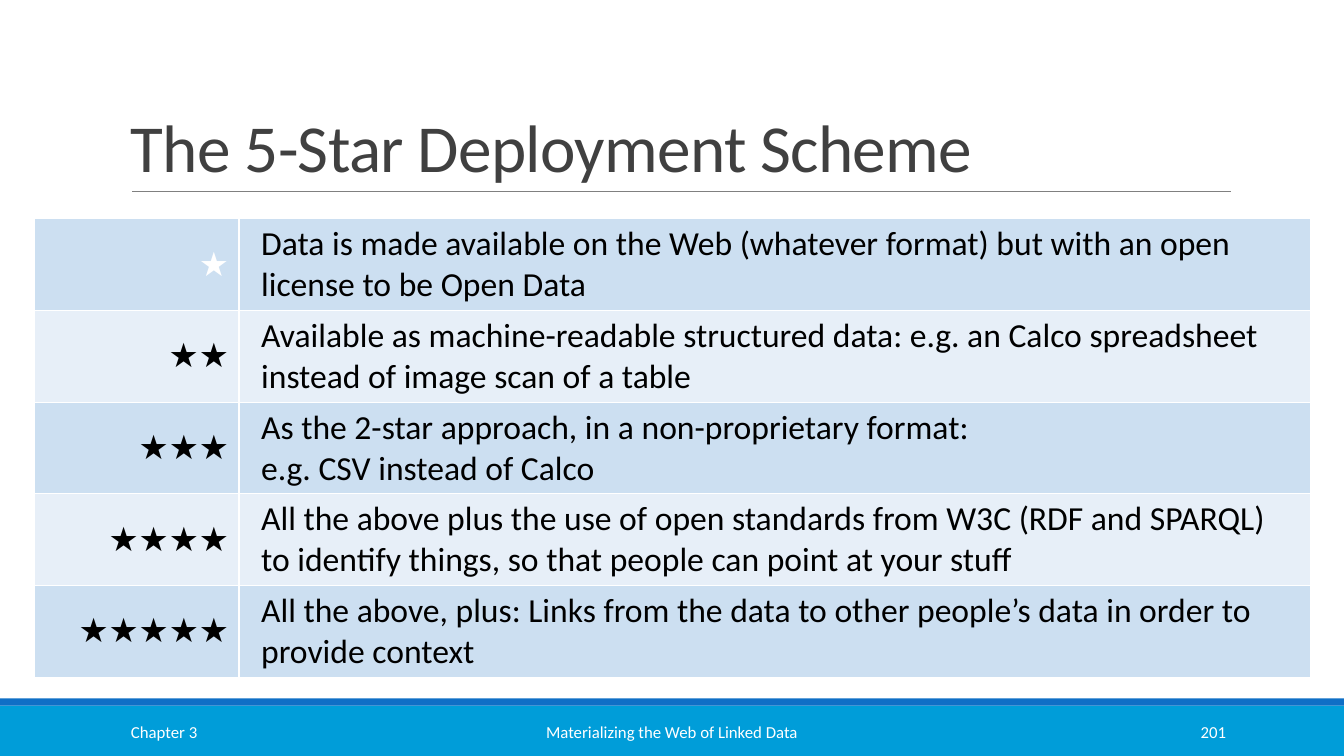
from lxml import etree
from pptx import Presentation
from pptx.dml.color import RGBColor
from pptx.enum.shapes import MSO_CONNECTOR, MSO_SHAPE
from pptx.enum.text import MSO_ANCHOR, PP_ALIGN
from pptx.oxml.ns import qn
from pptx.util import Inches, Pt

LEFT, CENTER, RIGHT = PP_ALIGN.LEFT, PP_ALIGN.CENTER, PP_ALIGN.RIGHT
MIDDLE, BOTTOM = MSO_ANCHOR.MIDDLE, MSO_ANCHOR.BOTTOM
FONT = "Calibri"

# Content
TITLE = "The 5-Star Deployment Scheme"
LEVELS = [
    ["Data is made available on the Web (whatever format) but with an open "
     "license to be Open Data"],
    ["Available as machine-readable structured data: e.g. an Calco spreadsheet "
     "instead of image scan of a table"],
    ["As the 2-star approach, in a non-proprietary format:",
     "e.g. CSV instead of Calco"],
    ["All the above plus the use of open standards from W3C (RDF and SPARQL) "
     "to identify things, so that people can point at your stuff"],
    ["All the above, plus: Links from the data to other people’s data in order "
     "to provide context"],
]
FOOTER = [  # text, left, width, alignment
    ("Chapter 3", 1.2, 2.7, LEFT),
    ("Materializing the Web of Linked Data", 4.03, 5.27, CENTER),
    ("201", 10.83, 1.43, RIGHT),
]
BARS = [(7, 0.5, "009DD9"), (6.93, 0.07, "0F6FC6")]  # top, height, colour
BAND_FILLS = ["CCDFF1", "E7EFF8"]
COLUMN_WIDTHS = [2.03, 10.63]
ROW_HEIGHT = 0.91
PAGE_WIDTH = 13.33


def color(value):
    return RGBColor.from_string(value)


def write(frame, lines, size, ink, align=LEFT, indent=0):
    frame.word_wrap = True
    for index, line in enumerate(lines):
        para = frame.paragraphs[0] if index == 0 else frame.add_paragraph()
        para.add_run().text = line
        para.alignment = align
        if indent:
            para._p.get_or_add_pPr().set("marL", str(Inches(indent)))
        para.font.name = FONT
        para.font.size = Pt(size)
        para.font.color.rgb = color(ink)


def add_text(page, text, left, top, width, height, size, ink, align, anchor):
    box = page.shapes.add_textbox(Inches(left), Inches(top),
                                  Inches(width), Inches(height))
    write(box.text_frame, [text], size, ink, align)
    box.text_frame.vertical_anchor = anchor
    return box.text_frame.paragraphs[0]


def style_cell(cell, fill):
    cell.vertical_anchor = MIDDLE
    cell.fill.solid()
    cell.fill.fore_color.rgb = color(fill)
    properties = cell._tc.get_or_add_tcPr()
    for position, side in enumerate(("lnL", "lnR", "lnT", "lnB")):
        border = etree.Element(qn("a:" + side), w=str(Pt(1)))
        paint = etree.SubElement(border, qn("a:solidFill"))
        etree.SubElement(paint, qn("a:srgbClr"), val="FFFFFF")
        properties.insert(position, border)


def main():
    deck = Presentation()
    deck.slide_width, deck.slide_height = Inches(PAGE_WIDTH), Inches(7.5)
    page = deck.slides.add_slide(deck.slide_layouts[6])

    # Footer bars
    for top, height, fill in BARS:
        bar = page.shapes.add_shape(MSO_SHAPE.RECTANGLE, 0, Inches(top),
                                    Inches(PAGE_WIDTH), Inches(height))
        bar.shadow.inherit = False
        bar.fill.solid()
        bar.fill.fore_color.rgb = color(fill)
        bar.line.fill.background()

    # Title and its rule
    rule = page.shapes.add_connector(MSO_CONNECTOR.STRAIGHT, Inches(1.31),
                                     Inches(1.9), Inches(12.21), Inches(1.9))
    rule.line.color.rgb = color("808080")
    rule.line.width = Pt(0.5)
    etree.SubElement(rule._element.spPr, qn("a:effectLst"))
    heading = add_text(page, TITLE, 1.2, 0.31, 11, 1.59, 48, "404040",
                       LEFT, BOTTOM)
    heading.line_spacing = 0.85
    heading.runs[0]._r.get_or_add_rPr().set("spc", "-50")

    # Footer text
    for text, left, width, align in FOOTER:
        add_text(page, text, left, 7.06, width, 0.4, 12, "FFFFFF", align, MIDDLE)

    # Star table
    table = page.shapes.add_table(
        len(LEVELS), len(COLUMN_WIDTHS), Inches(0.34), Inches(2.17),
        Inches(sum(COLUMN_WIDTHS)), Inches(ROW_HEIGHT * len(LEVELS))).table
    table.first_row = False
    for column, width in zip(table.columns, COLUMN_WIDTHS):
        column.width = Inches(width)
    for index, lines in enumerate(LEVELS):
        stars, meaning = table.cell(index, 0), table.cell(index, 1)
        star_ink = "FFFFFF" if index == 0 else "000000"
        write(stars.text_frame, ["★" * (index + 1)], 24, star_ink, RIGHT)
        write(meaning.text_frame, lines, 24, "000000", indent=0.12)
        for cell in (stars, meaning):
            style_cell(cell, BAND_FILLS[index % 2])

    deck.save("out.pptx")


if __name__ == "__main__":
    main()
